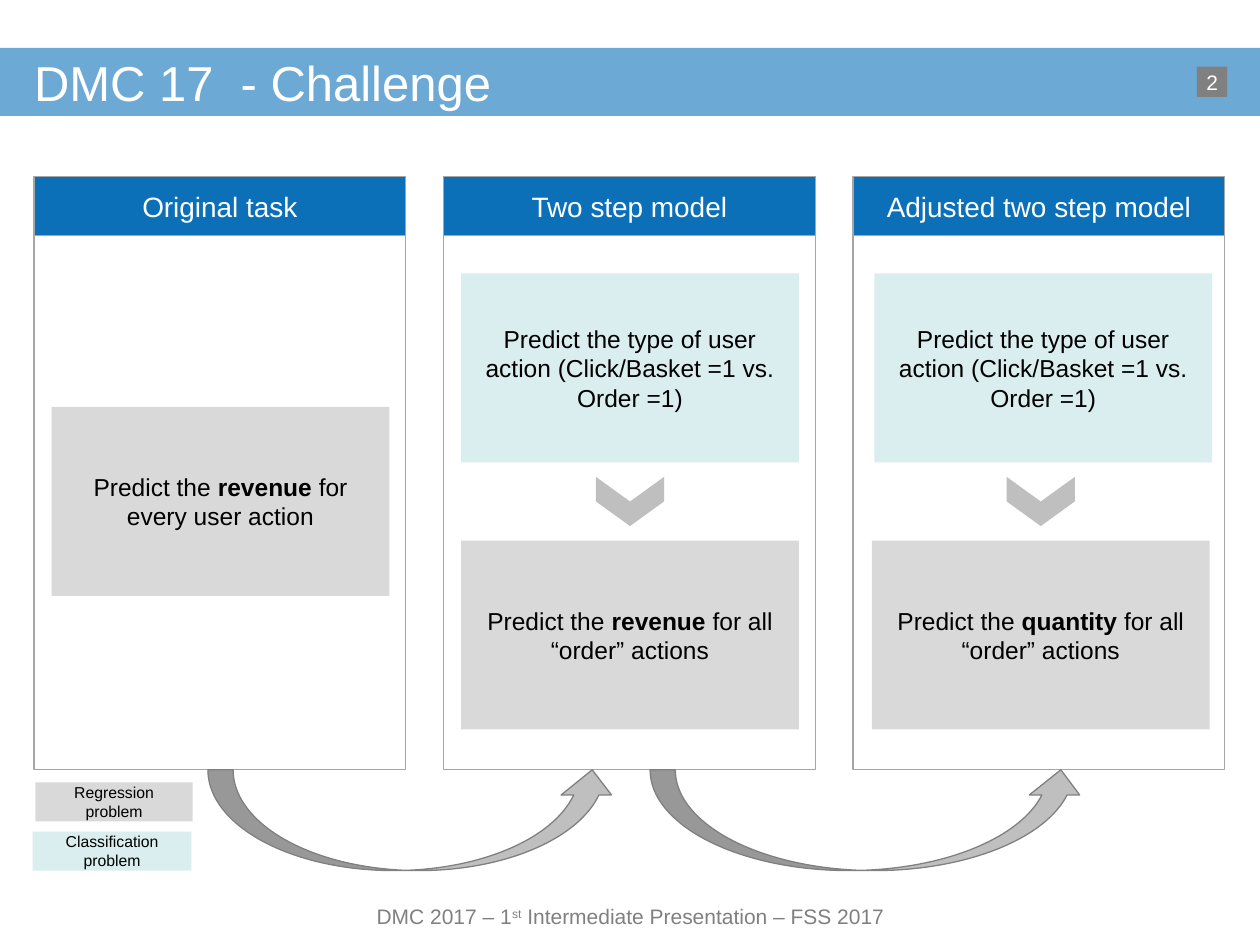
import pptx
import pptx.util
import pptx.dml.color
import pptx.enum.shapes
import pptx.enum.text
import pptx.oxml.ns
import lxml.etree

Inches = pptx.util.Inches
Shape = pptx.enum.shapes.MSO_SHAPE
Align = pptx.enum.text.PP_ALIGN

THEME = {
    "font": "Arial",
    "white": "FFFFFF", "black": "000000", "blue": "0B70B8",
    "border": "A6A6A6", "outline": "808080", "arrow": "BFBFBF",
    "regression": "D9D9D9", "classification": "DAEDEF",
    "title": 28, "heading": 16, "body": 14, "small": 12, "legend": 9,
}

# Content: a run is (text, style), where style is "", "bold" or "super"
TITLE = [("DMC 17  - Challenge", "")]
FOOTER = [("DMC 2017 – 1", ""), ("st", "super"),
          (" Intermediate Presentation – FSS 2017", "")]
PAGE_NUMBER = [("2", "")]
CLASSIFY = [("Predict the type of user action (Click/Basket =1 vs.\vOrder =1)", "")]


def predict(target, scope):
    return [("Predict the ", ""), (target, "bold"), (scope, "")]


# Columns: heading, then steps of (kind, runs, left offset in the column)
COLUMNS = [
    ("Original task",
     [("regression", predict("revenue", " for every user action"), 0.14)]),
    ("Two step model",
     [("classification", CLASSIFY, 0.14),
      ("regression", predict("revenue", " for all “order” actions"), 0.14)]),
    ("Adjusted two step model",
     [("classification", CLASSIFY, 0.17),
      ("regression", predict("quantity", " for all “order” actions"), 0.15)]),
]
LEGEND = [("Regression problem", "regression", 0.28, 1.25),
          ("Classification problem", "classification", 0.26, 1.26)]
CURVES = [(1.65, 3.25), (5.16, 3.46)]  # left, width

# Grid
MARGIN, COLUMN_WIDTH, COLUMN_PITCH = 0.27, 2.95, 3.25
HEAD_TOP, HEAD_HEIGHT, BODY_HEIGHT = 1.4, 0.47, 4.24
BODY_TOP = HEAD_TOP + HEAD_HEIGHT
BODY_BOTTOM = BODY_TOP + BODY_HEIGHT
STEP_WIDTH, STEP_HEIGHT, STEP_PITCH = 2.68, 1.5, 2.12
FIRST_STEP_TOP, SINGLE_STEP_TOP = 2.17, 3.23
CHEVRON_WIDTH, CHEVRON_HEIGHT = 0.39, 0.54
BAND_TOP, BAND_HEIGHT = 0.38, 0.54

deck = pptx.Presentation()
deck.slide_width, deck.slide_height = Inches(10), Inches(7.5)
page = deck.slides.add_slide(deck.slide_layouts[6])


def color(name):
    return pptx.dml.color.RGBColor.from_string(THEME[name])


def write(box, runs, size, ink, align=Align.CENTER, inset=True, wrap=True):
    frame = box.text_frame
    frame.word_wrap = wrap
    frame.vertical_anchor = pptx.enum.text.MSO_ANCHOR.MIDDLE
    if not inset:
        frame.margin_left = frame.margin_right = 0
        frame.margin_top = frame.margin_bottom = 0
    para = frame.paragraphs[0]
    para.alignment = align
    for text, style in runs:
        for number, line in enumerate(text.split("\v")):
            if number:
                para.add_line_break()
            span = para.add_run()
            span.text = line
            span.font.name = THEME["font"]
            span.font.size = pptx.util.Pt(THEME[size])
            span.font.color.rgb = color(ink)
            span.font.bold = style == "bold"
            if style == "super":
                span.font._element.set("baseline", "30000")


def draw(kind, left, top, width, height, fill=None, line=None):
    shape = page.shapes.add_shape(
        kind, Inches(left), Inches(top), Inches(width), Inches(height))
    shape.shadow.inherit = False
    if fill:
        shape.fill.solid()
        shape.fill.fore_color.rgb = color(fill)
    else:
        shape.fill.background()
    if line:
        shape.line.color.rgb = color(line)
        shape.line.width = pptx.util.Pt(0.75)
    else:
        shape.line.fill.background()
    return shape


def text_box(left, top, width, height):
    return page.shapes.add_textbox(
        Inches(left), Inches(top), Inches(width), Inches(height))


# Title band, page number and footer
band = draw(Shape.RECTANGLE, 0, BAND_TOP, 10, BAND_HEIGHT, "blue")
tint = band._element.spPr.find(".//" + pptx.oxml.ns.qn("a:srgbClr"))
lxml.etree.SubElement(tint, pptx.oxml.ns.qn("a:alpha")).set("val", "60000")
write(text_box(MARGIN, BAND_TOP, 9.45, BAND_HEIGHT), TITLE, "title", "white",
      Align.LEFT, inset=False)
write(text_box(2.64, 7.13, 4.73, 0.28), FOOTER, "small", "outline", inset=False)
write(draw(Shape.RECTANGLE, 9.5, 0.53, 0.24, 0.24, "outline"),
      PAGE_NUMBER, "small", "white", inset=False, wrap=False)

# Columns with their steps
for index, (heading, steps) in enumerate(COLUMNS):
    left = MARGIN + index * COLUMN_PITCH
    head = draw(Shape.RECTANGLE, left, HEAD_TOP, COLUMN_WIDTH, HEAD_HEIGHT,
                "blue", "border")
    write(head, [(heading, "")], "heading", "white")
    draw(Shape.RECTANGLE, left, BODY_TOP, COLUMN_WIDTH, BODY_HEIGHT, line="border")

    first_top = FIRST_STEP_TOP if len(steps) > 1 else SINGLE_STEP_TOP
    for row, (kind, runs, offset) in enumerate(steps):
        top = first_top + row * STEP_PITCH
        step = draw(Shape.RECTANGLE, left + offset, top, STEP_WIDTH, STEP_HEIGHT, kind)
        write(step, runs, "body", "black")
        if row:
            # Chevron centred in the gap above this step
            middle = left + offset + STEP_WIDTH / 2
            gap_middle = top - (STEP_PITCH - STEP_HEIGHT) / 2
            chevron = draw(Shape.CHEVRON, middle - CHEVRON_WIDTH / 2,
                           gap_middle - CHEVRON_HEIGHT / 2,
                           CHEVRON_WIDTH, CHEVRON_HEIGHT, "arrow")
            chevron.rotation = 90

# Curved arrows from column to column
for left, width in CURVES:
    draw(Shape.CURVED_UP_ARROW, left, BODY_BOTTOM, width, 0.8, "arrow", "outline")

# Legend
for row, (label, kind, left, width) in enumerate(LEGEND):
    key = draw(Shape.RECTANGLE, left, 6.21 + row * 0.39, width, 0.31, kind)
    write(key, [(label, "")], "legend", "black")

deck.save("out.pptx")
